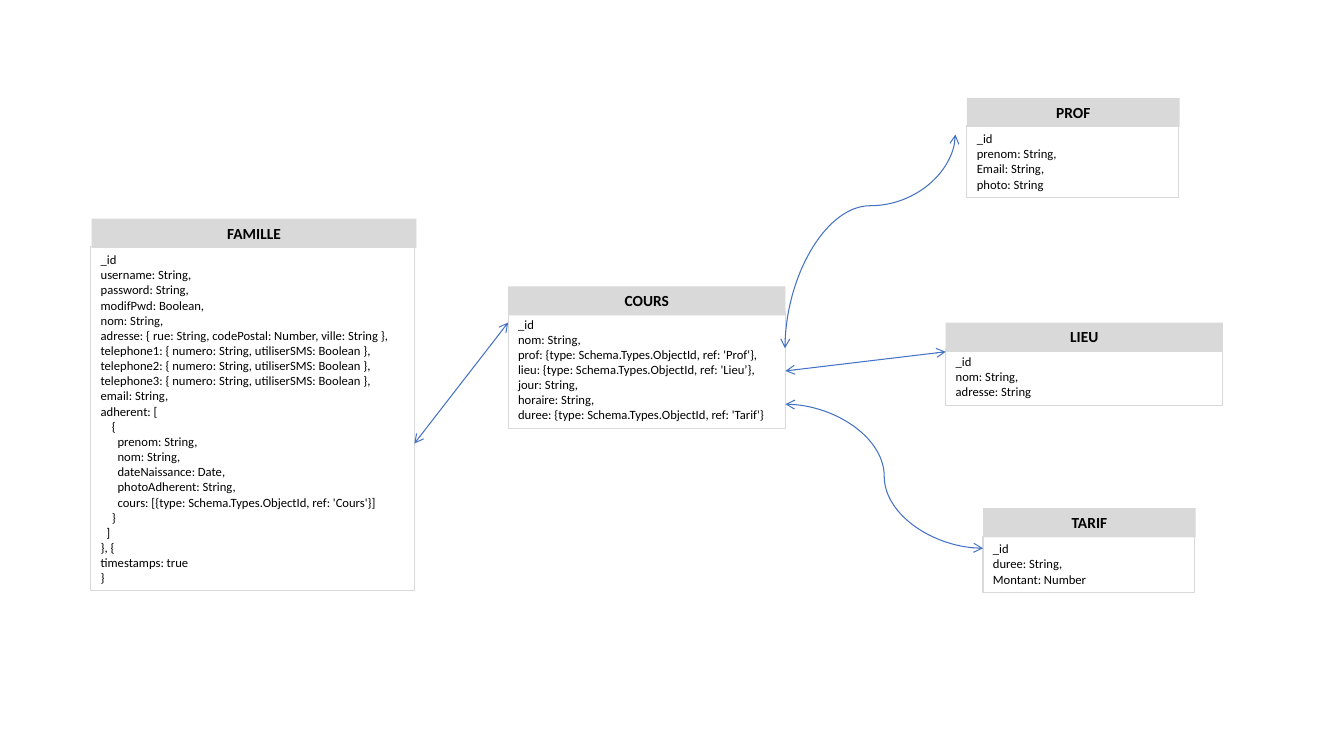
from dataclasses import dataclass

from lxml.etree import SubElement
from pptx import Presentation
from pptx.dml.color import RGBColor
from pptx.enum.shapes import MSO_CONNECTOR as Link
from pptx.enum.text import MSO_ANCHOR, MSO_AUTO_SIZE, PP_ALIGN
from pptx.oxml.ns import qn
from pptx.util import Inches, Pt

FONT = "Calibri"
BLACK, GREY, BLUE = "000000", "D9D9D9", "4472C4"
HEADER_HEIGHT = 0.29
LINE_HEIGHT = 0.15
BODY_PADDING = 0.11
INDENT_STEP = 0.056


@dataclass
class Entity:
    """A schema card; each tab in a field indents it by one step."""
    title: str
    left: float
    top: float
    width: float
    body_left: float
    body_top: float
    body_width: float
    fields: list[str]


@dataclass
class Relation:
    """A double-headed connector, given before its rotation."""
    kind: Link
    start: tuple[float, float]
    end: tuple[float, float]
    rotation: int = 0
    bend: float = 0.5


ENTITIES = [
    Entity("FAMILLE", 0.91, 2.17, 3.22, 0.9, 2.45, 3.21, [
        "_id",
        "username: String,",
        "password: String,",
        "modifPwd: Boolean,",
        "nom: String,",
        "adresse: { rue: String, codePostal: Number, ville: String },",
        *[f"telephone{number}: {{ numero: String, utiliserSMS: Boolean }},"
          for number in (1, 2, 3)],
        "email: String,",
        "adherent: [",
        "\t\t{",
        "\t\t\tprenom: String,",
        "\t\t\tnom: String,",
        "\t\t\tdateNaissance: Date,",
        "\t\t\tphotoAdherent: String,",
        "\t\t\tcours: [{type: Schema.Types.ObjectId, ref: 'Cours'}]",
        "\t\t}",
        "\t]",
        "}, {",
        "timestamps: true",
        "}",
    ]),
    Entity("PROF", 9.59, 0.97, 2.11, 9.59, 1.25, 2.1,
           ["_id", "prenom: String,", "Email: String,", "photo: String"]),
    Entity("COURS", 5.04, 2.84, 2.75, 5.04, 3.09, 2.75, [
        "_id",
        "nom: String,",
        "prof: {type: Schema.Types.ObjectId, ref: 'Prof'},",
        "lieu: {type: Schema.Types.ObjectId, ref: 'Lieu’},",
        "jour: String,",
        "horaire: String,",
        "duree: {type: Schema.Types.ObjectId, ref: 'Tarif'}",
    ]),
    Entity("LIEU", 9.38, 3.2, 2.75, 9.38, 3.46, 2.75,
           ["_id", "nom: String,", "adresse: String"]),
    Entity("TARIF", 9.75, 5.04, 2.11, 9.75, 5.32, 2.1,
           ["_id", "duree: String,", "Montant: Number"]),
]

RELATIONS = [
    Relation(Link.CURVE, (9.69, 3.24), (7.57, 1.55), rotation=90, bend=0.667),
    Relation(Link.CURVE, (7.79, 4.01), (9.75, 5.44)),
    Relation(Link.STRAIGHT, (7.79, 3.68), (9.38, 3.49)),
    Relation(Link.STRAIGHT, (4.11, 4.4), (5.04, 3.2)),
]


def colour(value: str) -> RGBColor:
    """Turn a hex string into a colour."""
    return RGBColor.from_string(value)


def add_box(page, left: float, top: float, width: float, height: float,
            lines: list[str], size: int, bold: bool = False,
            align: PP_ALIGN = PP_ALIGN.LEFT):
    """Add a text box with one paragraph per line and return it."""
    box = page.shapes.add_textbox(Inches(left), Inches(top),
                                  Inches(width), Inches(height))
    frame = box.text_frame
    frame.word_wrap = True
    frame.auto_size = MSO_AUTO_SIZE.SHAPE_TO_FIT_TEXT
    frame.vertical_anchor = MSO_ANCHOR.TOP
    for index, line in enumerate(lines):
        para = frame.add_paragraph() if index else frame.paragraphs[0]
        para.alignment = align
        steps = line.count("\t")
        if steps:
            margin = Inches(steps * INDENT_STEP)
            para._p.get_or_add_pPr().set("marL", str(margin))
        span = para.add_run()
        span.text = line.lstrip("\t")
        span.font.name = FONT
        span.font.size = Pt(size)
        span.font.bold = bold
        span.font.color.rgb = colour(BLACK)
    return box


def add_entity(page, entity: Entity) -> None:
    """Draw the outlined field list, then the filled title over it."""
    height = len(entity.fields) * LINE_HEIGHT + BODY_PADDING
    body = add_box(page, entity.body_left, entity.body_top,
                   entity.body_width, height, entity.fields, 9)
    body.line.color.rgb = colour(GREY)
    body.line.width = Pt(0.75)
    header = add_box(page, entity.left, entity.top, entity.width,
                     HEADER_HEIGHT, [entity.title], 11, True, PP_ALIGN.CENTER)
    header.fill.solid()
    header.fill.fore_color.rgb = colour(GREY)


def add_relation(page, relation: Relation) -> None:
    """Draw a connector with open arrowheads at both ends."""
    points = [Inches(value) for value in relation.start + relation.end]
    connector = page.shapes.add_connector(relation.kind, *points)
    connector.line.color.rgb = colour(BLUE)
    connector.line.width = Pt(0.75)
    outline = connector.line._get_or_add_ln()
    for end in ("a:headEnd", "a:tailEnd"):
        SubElement(outline, qn(end), type="arrow")
    properties = connector._element.spPr
    SubElement(properties, qn("a:effectLst"))
    if relation.rotation:
        properties.find(qn("a:xfrm")).set("rot", str(relation.rotation * 60000))
    if relation.kind == Link.CURVE:
        guides = properties.find(qn("a:prstGeom")).find(qn("a:avLst"))
        SubElement(guides, qn("a:gd"), name="adj1",
                   fmla=f"val {round(relation.bend * 100000)}")


def build() -> None:
    """Build the schema diagram and save it."""
    deck = Presentation()
    deck.slide_width, deck.slide_height = Inches(13.33), Inches(7.5)
    page = deck.slides.add_slide(deck.slide_layouts[6])
    for entity in ENTITIES:
        add_entity(page, entity)
    for relation in RELATIONS:
        add_relation(page, relation)
    deck.save("out.pptx")


build()
